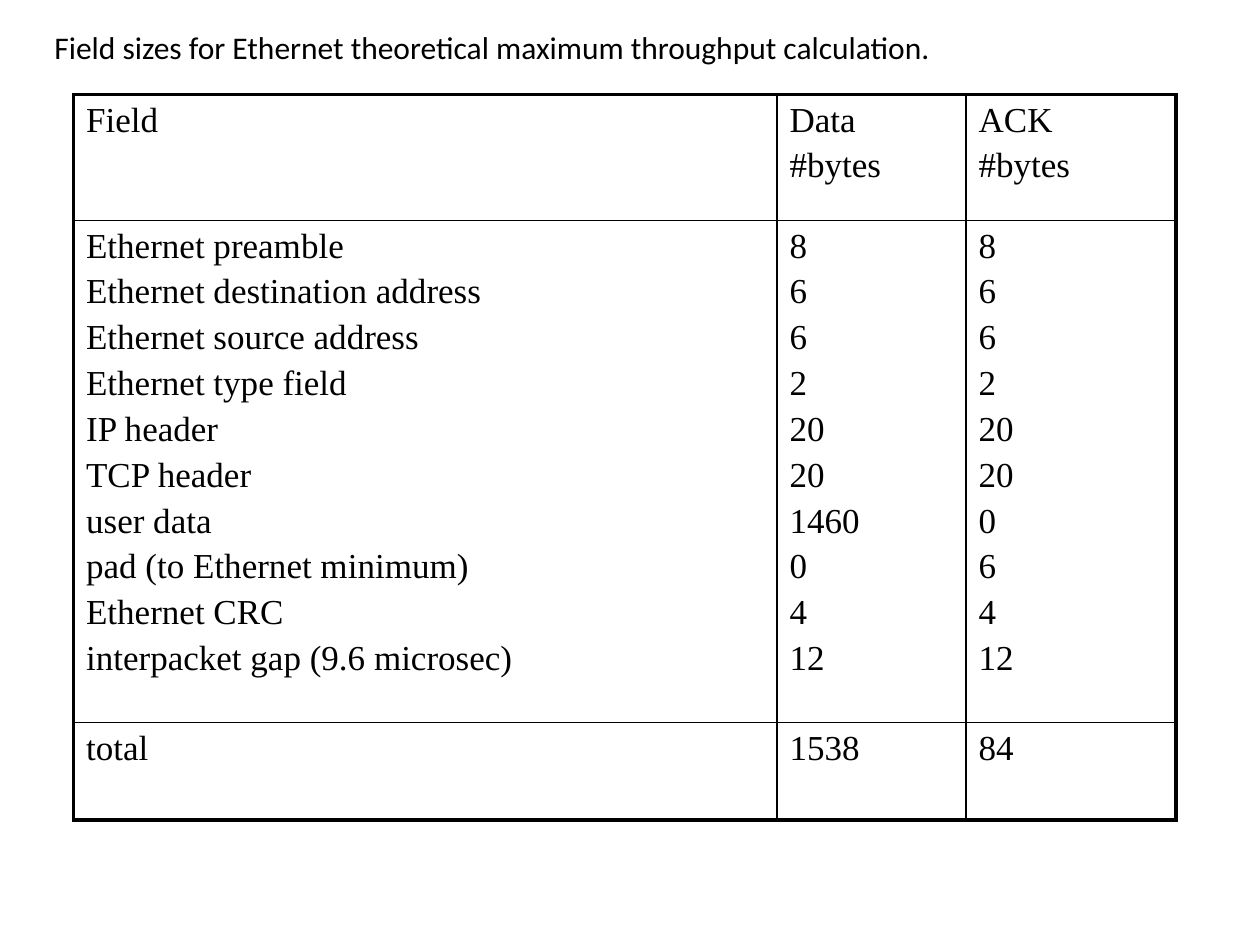
from lxml import etree
from pptx import Presentation
from pptx.dml.color import RGBColor
from pptx.enum.text import MSO_ANCHOR, MSO_AUTO_SIZE
from pptx.oxml.ns import qn
from pptx.util import Pt

TOP = MSO_ANCHOR.TOP
GROW = MSO_AUTO_SIZE.SHAPE_TO_FIT_TEXT
BLACK = RGBColor(0, 0, 0)
OUTER, INNER = 2.25, 1  # border widths in points

CAPTION = "Field sizes for Ethernet theoretical maximum throughput calculation."
HEADINGS = [["Field"], ["Data", "#bytes"], ["ACK", "#bytes"]]
FIELDS = [
    ("Ethernet preamble", 8, 8),
    ("Ethernet destination address", 6, 6),
    ("Ethernet source address", 6, 6),
    ("Ethernet type field", 2, 2),
    ("IP header", 20, 20),
    ("TCP header", 20, 20),
    ("user data", 1460, 0),
    ("pad (to Ethernet minimum)", 0, 6),
    ("Ethernet CRC", 4, 4),
    ("interpacket gap (9.6 microsec)", 12, 12),
]
TOTALS = [["total"], [1538], [84]]


class SlideBuilder:
    CAPTION_FONT = {"name": "Calibri", "size": Pt(18)}
    CELL_FONT = {"name": "Times New Roman", "size": Pt(20)}

    def __init__(self, slide):
        self.slide = slide

    def styled_run(self, paragraph, text, font_format):
        run = paragraph.add_run()
        run.text = str(text)
        for attribute, value in font_format.items():
            setattr(run.font, attribute, value)
        run.font.color.rgb = BLACK

    def caption(self, text, left, top, width, height):
        box = self.slide.shapes.add_textbox(Pt(left), Pt(top), Pt(width), Pt(height))
        frame = box.text_frame
        for attribute, value in {"word_wrap": True, "auto_size": GROW,
                                 "vertical_anchor": TOP}.items():
            setattr(frame, attribute, value)
        self.styled_run(frame.paragraphs[0], text, self.CAPTION_FONT)

    def cell_lines(self, cell, lines):
        frame = cell.text_frame
        for index, line in enumerate(lines):
            paragraph = frame.add_paragraph() if index else frame.paragraphs[0]
            # Spacing relative to the line height
            spacing = etree.SubElement(paragraph._p.get_or_add_pPr(), qn("a:spcBef"))
            etree.SubElement(spacing, qn("a:spcPct"), val="20000")
            self.styled_run(paragraph, line, self.CELL_FONT)

    def cell_borders(self, cell, widths):
        properties = cell._tc.get_or_add_tcPr()
        for side, width in widths.items():
            border = etree.SubElement(properties, qn(f"a:ln{side}"), w=str(Pt(width)))
            fill = etree.SubElement(border, qn("a:solidFill"))
            etree.SubElement(fill, qn("a:srgbClr"), val=str(BLACK))

    def table(self, rows, left, top, column_widths, row_heights):
        last_row, last_column = len(row_heights) - 1, len(column_widths) - 1
        table = self.slide.shapes.add_table(
            len(row_heights), len(column_widths), Pt(left), Pt(top),
            Pt(sum(column_widths)), Pt(sum(row_heights))).table
        table.first_row = table.horz_banding = False
        for column, width in zip(table.columns, column_widths):
            column.width = Pt(width)
        for r, (height, contents) in enumerate(zip(row_heights, rows)):
            table.rows[r].height = Pt(height)
            for c, lines in enumerate(contents):
                cell = table.cell(r, c)
                self.cell_lines(cell, lines)
                # Thick frame around the table, thin rules within
                self.cell_borders(cell, {
                    "L": OUTER if c == 0 else INNER,
                    "R": OUTER if c == last_column else INNER,
                    "T": OUTER if r == 0 else INNER,
                    "B": OUTER if r == last_row else INNER,
                })
                cell.fill.background()


def main():
    presentation = Presentation()
    presentation.slide_width, presentation.slide_height = Pt(720), Pt(540)
    builder = SlideBuilder(presentation.slides.add_slide(presentation.slide_layouts[6]))

    # Field sizes: headings, one column of lines per cell, totals
    builder.table([HEADINGS, list(zip(*FIELDS)), TOTALS], 42, 54,
                  column_widths=[402, 108, 120], row_heights=[72, 287, 55.5])

    # Caption above the table
    builder.caption(CAPTION, 24, 12.25, 676, 36)

    presentation.save("out.pptx")


if __name__ == "__main__":
    main()
